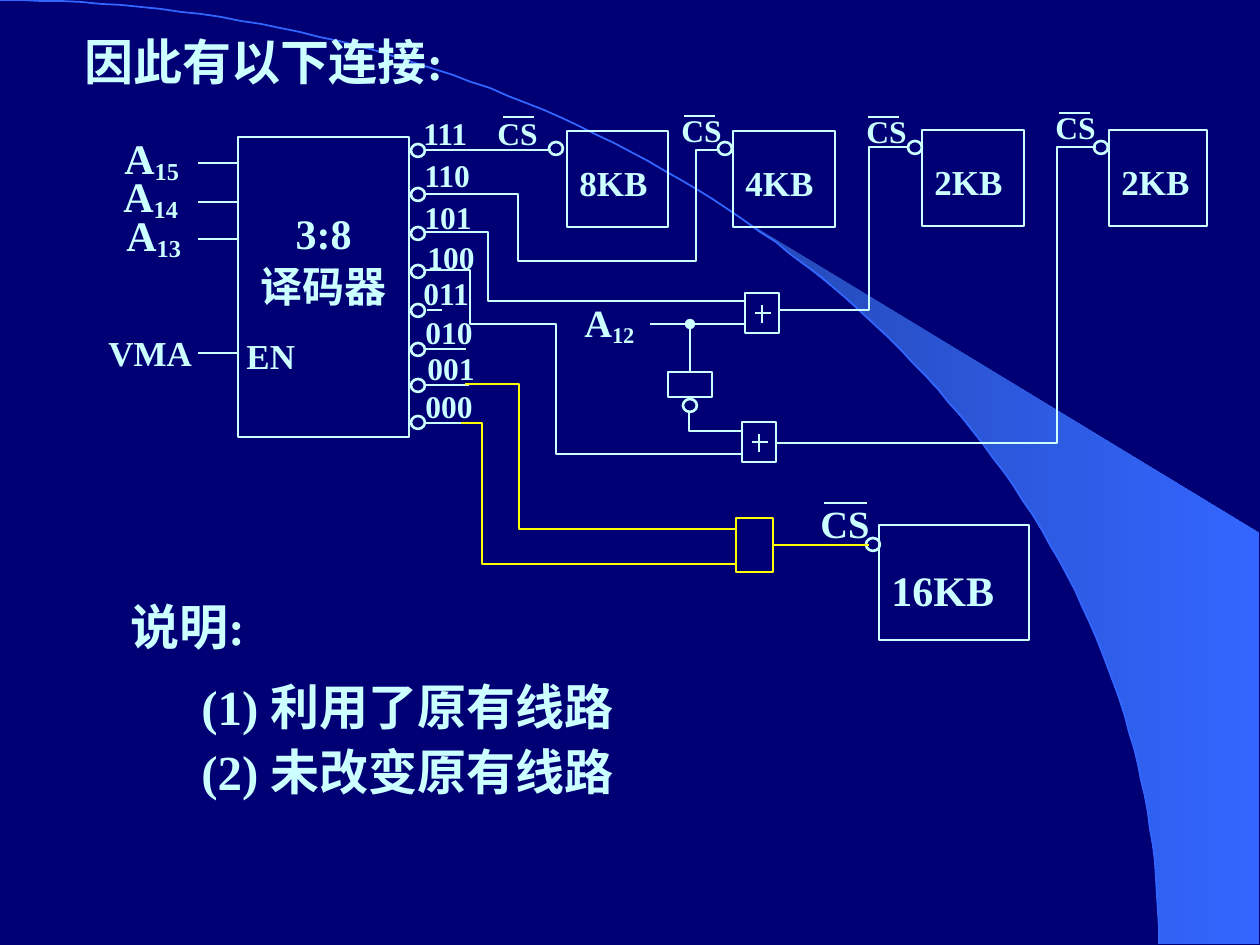
import math

from lxml import etree
from pptx import Presentation
from pptx.dml.color import RGBColor
from pptx.enum.shapes import MSO_CONNECTOR, MSO_SHAPE
from pptx.enum.text import MSO_ANCHOR, PP_ALIGN
from pptx.oxml.ns import qn
from pptx.util import Pt

SCALE = 914400 / 126
NAVY = RGBColor(0x00, 0x00, 0x74)
ICE = RGBColor(0xCC, 0xFF, 0xFF)
YELLOW = RGBColor(0xFF, 0xFF, 0x00)
BLUE = RGBColor(0x33, 0x66, 0xFF)
DIM_BLUE = RGBColor(0x24, 0x49, 0xB6)
RECT, OVAL = MSO_SHAPE.RECTANGLE, MSO_SHAPE.OVAL
STRAIGHT = MSO_CONNECTOR.STRAIGHT
LEFT, CENTER = PP_ALIGN.LEFT, PP_ALIGN.CENTER
TOP = MSO_ANCHOR.TOP
FONT = {"name": "Times New Roman", "bold": True}

# label, label left, label top, bubble top
OUTPUTS = [
    ("111", 411, 108, 144), ("110", 412, 150, 188),
    ("101", 412, 192, 227), ("100", 415, 232, 265),
    ("011", 411, 268, 304), ("010", 413, 307, 343),
    ("001", 415, 343, 379), ("000", 413, 381, 416),
]
# size label, left, top, width, bubble left, CS left, CS top, bar left, bar top
MEMORIES = [
    ("8KB", 567, 131, 101, 549, 485, 108, 503, 117),
    ("4KB", 733, 131, 102, 718, 669, 105, 684, 116),
    ("2KB", 922, 130, 102, 908, 854, 106, 868, 117),
    ("2KB", 1109, 130, 98, 1094, 1043, 102, 1059, 113),
]
# text, subscript, left, top, width, height, size
LABELS = [
    ("因此有以下连接:", "", 72, 25, 437, 72, 28),
    ("VMA", "", 96, 325, 152, 54, 20),
    ("EN", "", 234, 328, 93, 54, 20),
    ("A", "15", 112, 126, 91, 63, 24),
    ("A", "14", 111, 164, 91, 63, 24),
    ("A", "13", 114, 203, 91, 63, 24),
    ("A", "12", 572, 293, 91, 59, 22),
    ("说明:", "", 118, 590, 193, 72, 28),
]
WIRES = [
    [(426, 194), (518, 194), (518, 261), (696, 261), (696, 150), (718, 150)],
    [(425, 232), (488, 232), (488, 301), (745, 301)],
    [(426, 270), (470, 270), (470, 324), (556, 324), (556, 454), (742, 454)],
    [(689, 411), (689, 431), (742, 431)],
    [(776, 443), (1057, 443), (1057, 147), (1096, 147)],
]
YELLOW_WIRES = [
    [(465, 384), (519, 384), (519, 529), (736, 529)],
    [(461, 423), (482, 423), (482, 564), (736, 564)],
]
STUBS = [
    (198, 163, 239), (198, 202, 238), (198, 239, 239), (198, 353, 238),
    (426, 150, 551), (427, 310, 442), (424, 349, 466),
    (426, 385, 469), (425, 423, 467), (650, 324, 745),
]


def px(length):
    return round(length * SCALE)


def set_line(item, color, width):
    item.line.color.rgb = color
    item.line.width = Pt(width)


def write(frame, lines, size, align=LEFT, before=0):
    """Each line is a (text, subscript) pair."""
    frame.word_wrap = True
    frame.vertical_anchor = TOP
    for index, (text, subscript) in enumerate(lines):
        para = frame.add_paragraph() if index else frame.paragraphs[0]
        para.alignment = align
        para.space_before = Pt(before if index else 0)
        for part in filter(None, (text, subscript)):
            span = para.add_run()
            span.text = part
            span.font.size = Pt(size)
            span.font.color.rgb = ICE
            for key, value in FONT.items():
                setattr(span.font, key, value)
        if subscript:
            span.font._element.set("baseline", "-16000")


def label(page, text, subscript, left, top, width, height, size):
    box = page.shapes.add_textbox(px(left), px(top), px(width), px(height))
    write(box.text_frame, [(text, subscript)], size)


def outline(page, kind, left, top, width, height, color=ICE, weight=1.5):
    shape = page.shapes.add_shape(kind, px(left), px(top), px(width), px(height))
    shape.shadow.inherit = False
    shape.fill.background()
    set_line(shape, color, weight)
    return shape


def bubble(page, left, top):
    outline(page, OVAL, left, top, 14, 13)


def straight(page, x1, y1, x2, y2, color=ICE):
    line = page.shapes.add_connector(STRAIGHT, px(x1), px(y1), px(x2), px(y2))
    set_line(line, color, 1.5)
    etree.SubElement(line._element.spPr, qn("a:effectLst"))
    return line


def polyline(page, points, color=ICE, weight=1.5, close=False):
    builder = page.shapes.build_freeform(*points[0], scale=SCALE)
    builder.add_line_segments(points[1:], close=close)
    shape = builder.convert_to_shape()
    shape.shadow.inherit = False
    shape.fill.background()
    set_line(shape, color, weight)
    return shape


def arc(start, steps):
    """Points of the background quarter ellipse from angle start to its end."""
    angles = [start + (math.pi / 2 - start) * i / steps for i in range(steps + 1)]
    return [(round(1159 * math.sin(a)), round(944 * (1 - math.cos(a)))) for a in angles]


def backdrop(page):
    page.background.fill.solid()
    page.background.fill.fore_color.rgb = NAVY
    beam = polyline(page, arc(0.695, 30) + [(1259, 944), (1259, 533)], close=True)
    beam.line.fill.background()
    beam.fill.gradient()
    beam.fill.gradient_angle = 0
    for stop, color, place in zip(beam.fill.gradient_stops, (DIM_BLUE, BLUE), (0, 1)):
        stop.color.rgb = color
        stop.position = place
    polyline(page, arc(0, 90), BLUE, 1)


def memory(page, name, left, top, width, height, size, inset):
    chip = outline(page, RECT, left, top, width, height, weight=0.75)
    chip.text_frame.margin_top = px(inset)
    write(chip.text_frame, [(name, "")], size)


def plus_gate(page, left, top):
    outline(page, RECT, left, top, 34, 40)
    straight(page, left + 10, top + 20, left + 26, top + 20)
    straight(page, left + 17, top + 12, left + 17, top + 30)


def decoder(page):
    body = outline(page, RECT, 238, 137, 171, 300)
    body.text_frame.margin_top = px(71)
    write(body.text_frame, [("3:8", ""), ("译码器", "")], 24, CENTER, 1)
    for text, left, top, bubble_top in OUTPUTS:
        bubble(page, 411, bubble_top)
        label(page, text, "", left, top, 80, 50, 18)


def main():
    deck = Presentation()
    deck.slide_width, deck.slide_height = px(1260), px(945)
    page = deck.slides.add_slide(deck.slide_layouts[6])
    backdrop(page)
    decoder(page)
    for item in LABELS:
        label(page, *item)

    # Memory chips with their select inputs
    for name, left, top, width, dot, cs_left, cs_top, bar_left, bar_top in MEMORIES:
        memory(page, name, left, top, width, 96, 20, 30)
        bubble(page, dot, top + 11)
        label(page, "CS", "", cs_left, cs_top, 87, 50, 18)
        straight(page, bar_left, bar_top, bar_left + 31, bar_top)
    memory(page, "16KB", 879, 525, 150, 115, 24, 40)
    bubble(page, 866, 538)
    label(page, "CS", "", 808, 494, 96, 59, 22)
    straight(page, 824, 503, 867, 503)

    # Wiring
    for x1, y, x2 in STUBS:
        straight(page, x1, y, x2, y)
    for points in WIRES:
        polyline(page, points)
    polyline(page, [(779, 310), (869, 310), (869, 147), (908, 147)], weight=1)

    # Gates and inverter
    plus_gate(page, 745, 293)
    plus_gate(page, 742, 422)
    outline(page, RECT, 668, 372, 44, 25)
    bubble(page, 683, 399)
    tap = straight(page, 690, 324, 690, 372)
    etree.SubElement(tap.line._get_or_add_ln(), qn("a:headEnd"), type="oval")

    # Added selection of the 16KB chip
    for points in YELLOW_WIRES:
        polyline(page, points, YELLOW)
    outline(page, RECT, 736, 518, 37, 54, YELLOW)
    straight(page, 773, 545, 869, 545, YELLOW)

    # Notes under the diagram
    notes = page.shapes.add_textbox(px(189), px(670), px(639), px(139))
    write(notes.text_frame, [("(1) 利用了原有线路", ""), ("(2) 未改变原有线路", "")], 28, before=4)
    deck.save("out.pptx")


if __name__ == "__main__":
    main()
